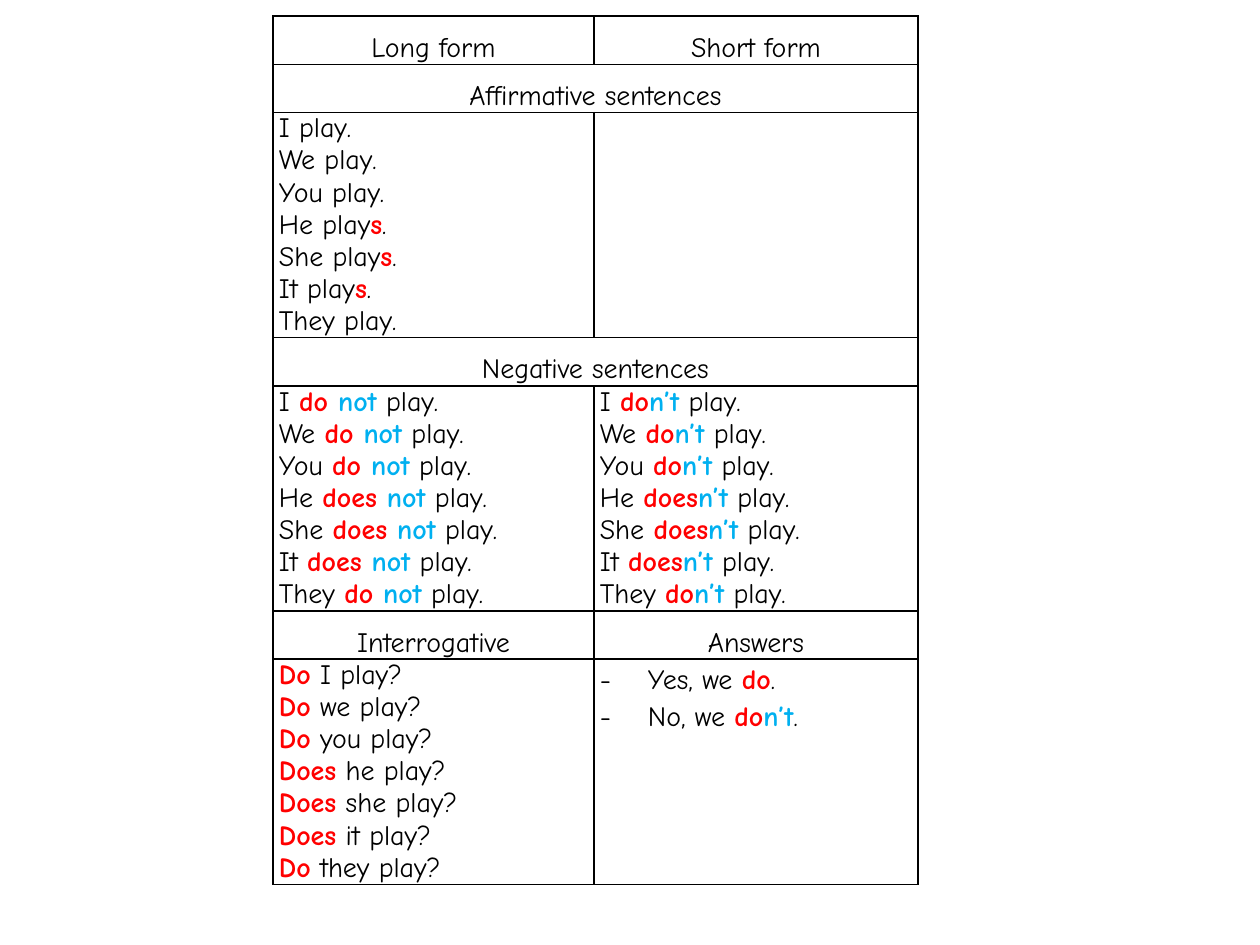
"""Build a slide with a table of present simple forms of the verb play."""
from lxml import etree
from pptx import Presentation, util as u
from pptx.dml.color import RGBColor
from pptx.enum import text
from pptx.oxml.ns import qn

BLACK = RGBColor(0x00, 0x00, 0x00)
RED = RGBColor(0xFF, 0x00, 0x00)
BLUE = RGBColor(0x00, 0xB0, 0xF0)
WHITE = RGBColor(0xFF, 0xFF, 0xFF)
PART_COLOURS = (BLACK, RED, BLUE, BLACK)
FONT = "Comic Neue"

SUBJECTS = [("I", "do"), ("We", "do"), ("You", "do"), ("He", "does"),
            ("She", "does"), ("It", "does"), ("They", "do")]
AFFIRMATIVE = [f"{subject} play|s||." if verb == "does" else f"{subject} play."
               for subject, verb in SUBJECTS]
NEGATIVE = [f"{subject} |{verb} |not| play." for subject, verb in SUBJECTS]
CONTRACTED = [f"{subject} |{verb}|n’t| play." for subject, verb in SUBJECTS]
QUESTIONS = [f"|{verb.title()}|| {subject if subject == 'I' else subject.lower()} play?"
             for subject, verb in SUBJECTS]
ANSWERS = ["Yes, we |do||.", "No, we |do|n’t|."]

HEADING = {"alignment": text.PP_ALIGN.CENTER, "spacing": 1.5}
TOP_HEADING = {**HEADING, "anchor": text.MSO_ANCHOR.MIDDLE}
LIST = {"spacing": 1.15, "bullet": "-"}
ROWS = [
    [(["Long form"], TOP_HEADING), (["Short form"], TOP_HEADING)],
    [(["Affirmative sentences"], TOP_HEADING)],
    [(AFFIRMATIVE, {}), ([], {})],
    [(["Negative sentences"], HEADING)],
    [(NEGATIVE, {}), (CONTRACTED, {})],
    [(["Interrogative"], HEADING), (["Answers"], HEADING)],
    [(QUESTIONS, {}), (ANSWERS, LIST)],
]
SCALE = 914400 // 126
LEFT, TOP = 273, 16
COLUMN_WIDTHS = (321, 324)
HEADING_HEIGHT, BODY_HEIGHT = 48, 225
CELL_MARGIN, LIST_INDENT = 6, 48


def px(length):
    return u.Emu(length * SCALE)


def write_lines(cell, lines, alignment=text.PP_ALIGN.LEFT, spacing=1.0,
                anchor=text.MSO_ANCHOR.TOP, bullet=None):
    cell.vertical_anchor = anchor
    cell.margin_left = cell.margin_right = px(CELL_MARGIN)
    cell.margin_top = cell.margin_bottom = 0
    frame = cell.text_frame
    for index, line in enumerate(lines):
        paragraph = frame.add_paragraph() if index else frame.paragraphs[0]
        paragraph.alignment = alignment
        paragraph.line_spacing = spacing
        if bullet:
            properties = paragraph._p.get_or_add_pPr()
            properties.set("marL", str(px(LIST_INDENT)))
            properties.set("indent", str(-px(LIST_INDENT)))
            etree.SubElement(properties, qn("a:buFont"), typeface=FONT)
            etree.SubElement(properties, qn("a:buChar"), char=bullet)
        for part, colour in zip(line.split("|"), PART_COLOURS):
            if part:
                run = paragraph.add_run()
                run.text = part
                run.font.name = FONT
                run.font.size = u.Pt(16)
                run.font.bold = colour != BLACK
                run.font.color.rgb = colour


def frame_cell(cell):
    properties = cell._tc.get_or_add_tcPr()
    for side in ("lnL", "lnR", "lnT", "lnB"):
        line = etree.SubElement(properties, qn(f"a:{side}"), w=str(u.Pt(1)))
        fill = etree.SubElement(line, qn("a:solidFill"))
        etree.SubElement(fill, qn("a:srgbClr"), val=str(BLACK))
    cell.fill.solid()
    cell.fill.fore_color.rgb = WHITE


def main():
    presentation = Presentation()
    presentation.slide_width, presentation.slide_height = u.Inches(10), u.Inches(7.5)
    slide = presentation.slides.add_slide(presentation.slide_layouts[6])
    heights = [BODY_HEIGHT if cells[0][1] == {} else HEADING_HEIGHT for cells in ROWS]
    table = slide.shapes.add_table(
        len(ROWS), len(COLUMN_WIDTHS), px(LEFT), px(TOP),
        px(sum(COLUMN_WIDTHS)), px(sum(heights))).table
    table.first_row = table.horz_banding = False
    for column, width in zip(table.columns, COLUMN_WIDTHS):
        column.width = px(width)
    for index, (cells, height) in enumerate(zip(ROWS, heights)):
        table.rows[index].height = px(height)
        for cell in table.rows[index].cells:
            frame_cell(cell)
        if len(cells) == 1:
            table.cell(index, 0).merge(table.cell(index, 1))
        for column, (lines, style) in enumerate(cells):
            write_lines(table.cell(index, column), lines, **style)
    presentation.save("out.pptx")


if __name__ == "__main__":
    main()
